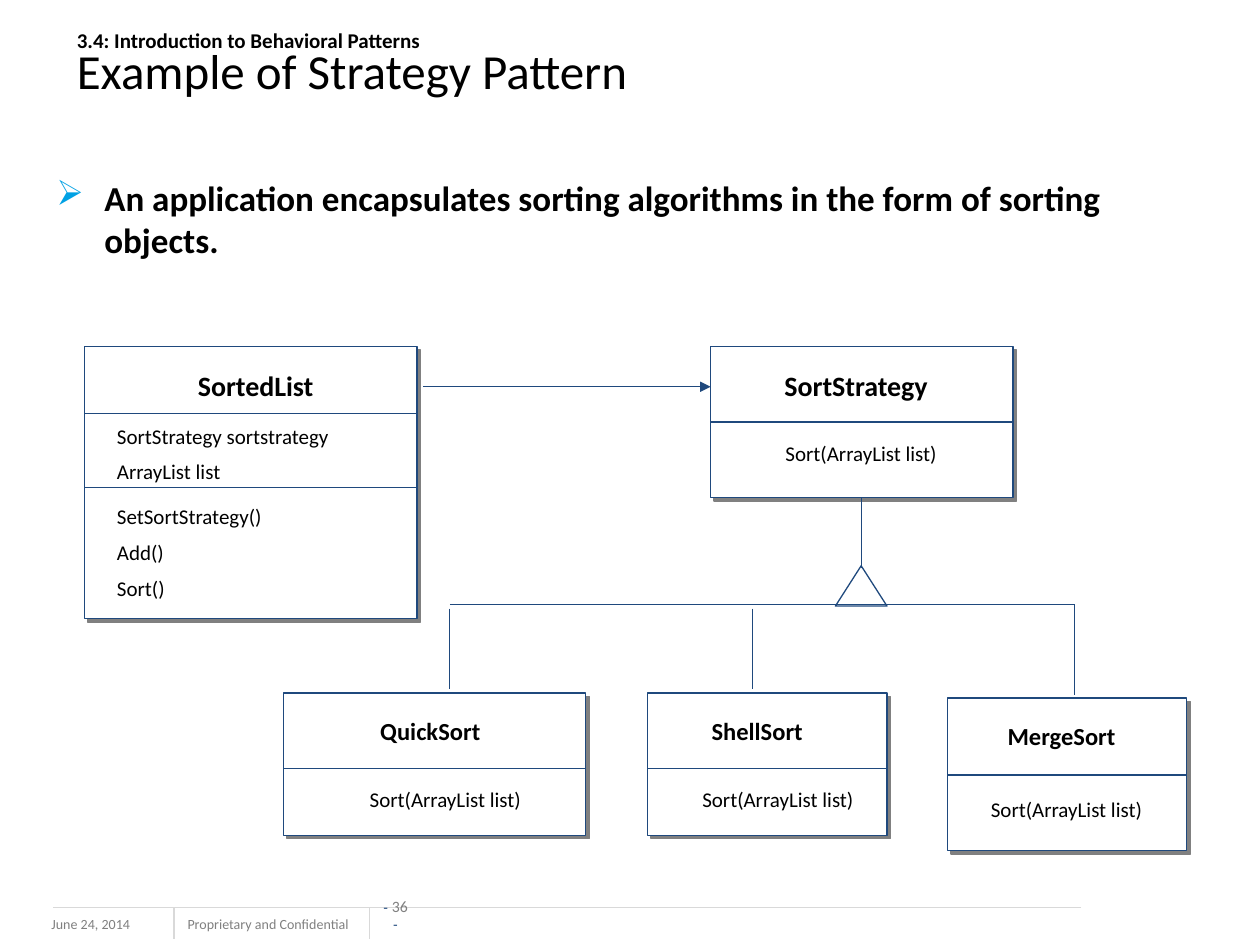
import pptx
import pptx.util
import pptx.dml.color
import pptx.enum.shapes
import pptx.enum.text
import pptx.oxml
import pptx.oxml.ns

# Content: lengths in px (100 to the inch), boxes as left, top, width, height
TITLE = ("3.4: Introduction to Behavioral Patterns", "Example of Strategy Pattern")
TITLE_BOX = (51, 13, 892, 78)
BODY = "An application encapsulates sorting algorithms in the form of sorting objects."
BODY_BOX = (35, 135, 900, 122)
SORT = ["Sort(ArrayList list)"]

# Each class: outline, name, name box, name style, divider heights, member boxes
CLASSES = [
    dict(box=(67, 275, 264, 216), name="SortedList", name_box=(75, 288, 256, 37),
         style="parent", dividers=[328, 387], align="left",
         members=[((83, 331, 223, 61), ["SortStrategy sortstrategy", "ArrayList list"]),
                  ((83, 395, 256, 91), ["SetSortStrategy()", "Add()", "Sort()"])]),
    dict(box=(564, 275, 240, 120), name="SortStrategy", name_box=(572, 288, 215, 37),
         style="parent", dividers=[335], align="center",
         members=[((572, 345, 223, 30), SORT)]),
    dict(box=(225, 550, 240, 113), name="QuickSort", name_box=(234, 563, 215, 34),
         style="child", dividers=[610], align="center",
         members=[((267, 619, 173, 30), SORT)]),
    dict(box=(514, 550, 190, 113), name="ShellSort", name_box=(514, 563, 174, 34),
         style="child", dividers=[610], align="center",
         members=[((531, 619, 173, 30), SORT)]),
    dict(box=(752, 554, 190, 121), name="MergeSort", name_box=(760, 567, 165, 34),
         style="child", dividers=[615], align="center",
         members=[((760, 627, 173, 30), SORT)]),
]
TRIANGLE_BOX = (663, 449, 41, 32)
INHERITANCE_LINES = [
    (684, 395, 684, 451), (357, 480, 853, 480),
    (357, 483, 357, 547), (597, 483, 597, 547), (853, 480, 853, 552),
]
ASSOCIATION = (336, 307, 564, 307)

FOOTER_TEXTS = [("June 24, 2014", (31, 722, 133, 25)),
                ("Proprietary and Confidential", (139, 722, 157, 24))]
FOOTER_LINES = [(858, 720, 42, 720), (138, 720, 138, 745), (293, 720, 293, 745)]
PAGE_NUMBER_BOX = (301, 725, 26, 15)

THEME = {
    "font": "Calibri", "number_font": "Arial",
    "text": "000000", "line": "1F497D", "fill": "FFFFFF", "shadow": "808080",
    "bullet": "00A1E4", "footer": "808080", "rule": "D9D9D9",
    "title": 28, "section": 12, "body": 20, "parent": 16, "child": 14,
    "member": 12, "small": 8, "number": 9, "line_width": 0.75,
}
ALIGN = {"left": pptx.enum.text.PP_ALIGN.LEFT, "center": pptx.enum.text.PP_ALIGN.CENTER}


def px(value):
    return pptx.util.Emu(value * 9144)


def color(name):
    return pptx.dml.color.RGBColor.from_string(THEME[name])


def append_xml(parent, xml):
    namespace = pptx.oxml.ns.nsdecls("a")
    parent.append(pptx.oxml.parse_xml(xml.replace(" ", f" {namespace} ", 1)))


def style_font(font, size, color_name="text", bold=False, face="font"):
    font.name = THEME[face]
    font.size = pptx.util.Pt(THEME[size])
    font.bold = bold
    font.color.rgb = color(color_name)


def style_line(line, color_name="line"):
    line.color.rgb = color(color_name)
    line.width = pptx.util.Pt(THEME["line_width"])


def add_text(slide, box, lines, size, color_name="text", bold=False,
             align="left", spacing=0.5):
    """Add a text box; spacing before each paragraph is a share of its type size."""
    shape = slide.shapes.add_textbox(*map(px, box))
    frame = shape.text_frame
    frame.word_wrap = True
    frame.text = "\n".join(lines)
    for paragraph in frame.paragraphs:
        paragraph.alignment = ALIGN[align]
        paragraph.space_before = pptx.util.Pt(THEME[size] * spacing)
        style_font(paragraph.font, size, color_name, bold)
    return shape


def add_line(slide, ends, color_name="line", arrow=False):
    connector = slide.shapes.add_connector(
        pptx.enum.shapes.MSO_CONNECTOR.STRAIGHT, *map(px, ends))
    style_line(connector.line, color_name)
    if arrow:
        append_xml(connector.line._get_or_add_ln(), '<a:tailEnd type="triangle"/>')
    append_xml(connector._element.spPr, '<a:effectLst />')


def add_class(slide, item):
    left, top, width, height = item["box"]
    shape = slide.shapes.add_shape(
        pptx.enum.shapes.MSO_SHAPE.RECTANGLE, *map(px, item["box"]))
    shape.fill.solid()
    shape.fill.fore_color.rgb = color("fill")
    style_line(shape.line)
    append_xml(shape._element.spPr,
               '<a:effectLst ><a:outerShdw dist="35560" dir="2700000" algn="ctr" '
               f'rotWithShape="0"><a:srgbClr val="{THEME["shadow"]}"/>'
               '</a:outerShdw></a:effectLst>')
    add_text(slide, item["name_box"], [item["name"]], item["style"],
             bold=True, align="center")
    for y in item["dividers"]:
        add_line(slide, (left, y, left + width, y))
    for box, lines in item["members"]:
        add_text(slide, box, lines, "member", align=item["align"])


def add_title(slide):
    title = slide.shapes.title
    title.left, title.top, title.width, title.height = map(px, TITLE_BOX)
    frame = title.text_frame
    frame.vertical_anchor = pptx.enum.text.MSO_ANCHOR.MIDDLE
    frame.auto_size = pptx.enum.text.MSO_AUTO_SIZE.NONE
    paragraph = frame.paragraphs[0]
    paragraph.alignment = ALIGN["left"]
    paragraph.line_spacing = 0.8
    section, heading = TITLE
    run = paragraph.add_run()
    run.text = section
    style_font(run.font, "section", bold=True)
    paragraph.add_line_break()
    run = paragraph.add_run()
    run.text = heading
    style_font(run.font, "title")


def add_body(slide):
    shape = add_text(slide, BODY_BOX, [BODY], "body", bold=True, spacing=0.2)
    properties = shape.text_frame.paragraphs[0]._p.get_or_add_pPr()
    properties.set("marL", str(px(38)))
    properties.set("indent", str(px(-38)))
    bullet_color = pptx.oxml.parse_xml(
        f'<a:buClr {pptx.oxml.ns.nsdecls("a")}><a:srgbClr val="{THEME["bullet"]}"/></a:buClr>')
    bullet = pptx.oxml.parse_xml(f'<a:buChar {pptx.oxml.ns.nsdecls("a")} char="➢"/>')
    # Bullet settings come before the default run properties
    defaults = properties.find(pptx.oxml.ns.qn("a:defRPr"))
    defaults.addprevious(bullet_color)
    defaults.addprevious(bullet)


def add_footer(slide):
    for text, box in FOOTER_TEXTS:
        add_text(slide, box, [text], "small", "footer", spacing=0)
    for ends in FOOTER_LINES:
        add_line(slide, ends, "rule")
    frame = slide.shapes.add_textbox(*map(px, PAGE_NUMBER_BOX)).text_frame
    frame.word_wrap = True
    frame.vertical_anchor = pptx.enum.text.MSO_ANCHOR.BOTTOM
    frame.margin_left = frame.margin_right = frame.margin_top = frame.margin_bottom = 0
    paragraph = frame.paragraphs[0]
    paragraph.alignment = ALIGN["center"]
    dash = ("small", "line", False, "number_font")
    for text, style in (("- ", dash), ("36 ", ("number", "footer")), ("-", dash)):
        run = paragraph.add_run()
        run.text = text
        style_font(run.font, *style)


def main():
    presentation = pptx.Presentation()
    presentation.slide_width, presentation.slide_height = px(1000), px(750)
    slide = presentation.slides.add_slide(presentation.slide_layouts[5])

    add_footer(slide)
    add_title(slide)
    add_body(slide)

    # Class diagram
    for item in CLASSES:
        add_class(slide, item)
    triangle = slide.shapes.add_shape(
        pptx.enum.shapes.MSO_SHAPE.ISOSCELES_TRIANGLE, *map(px, TRIANGLE_BOX))
    triangle.fill.background()
    style_line(triangle.line)
    triangle.shadow.inherit = False
    for ends in INHERITANCE_LINES:
        add_line(slide, ends)
    add_line(slide, ASSOCIATION, arrow=True)

    presentation.save("out.pptx")


if __name__ == "__main__":
    main()
